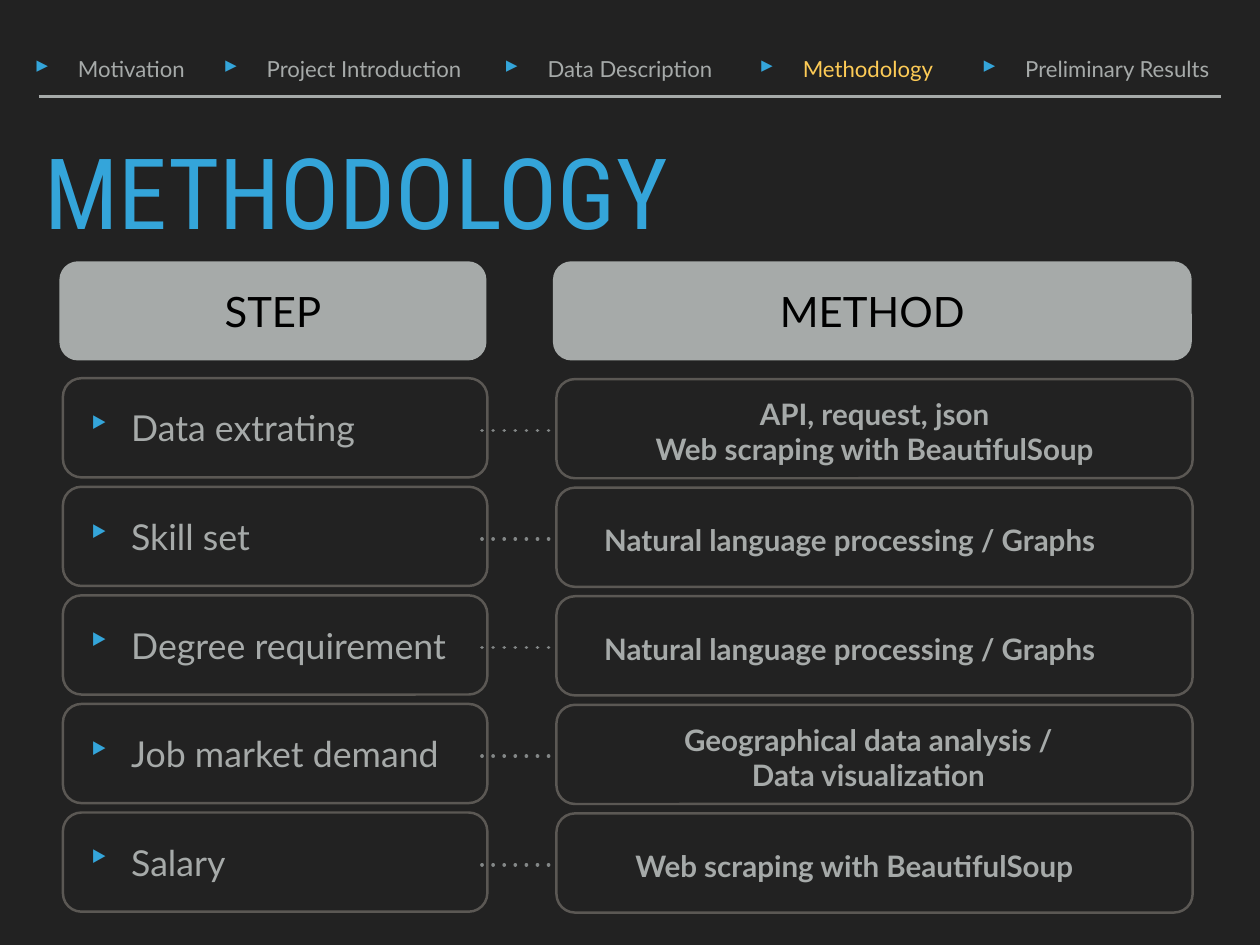
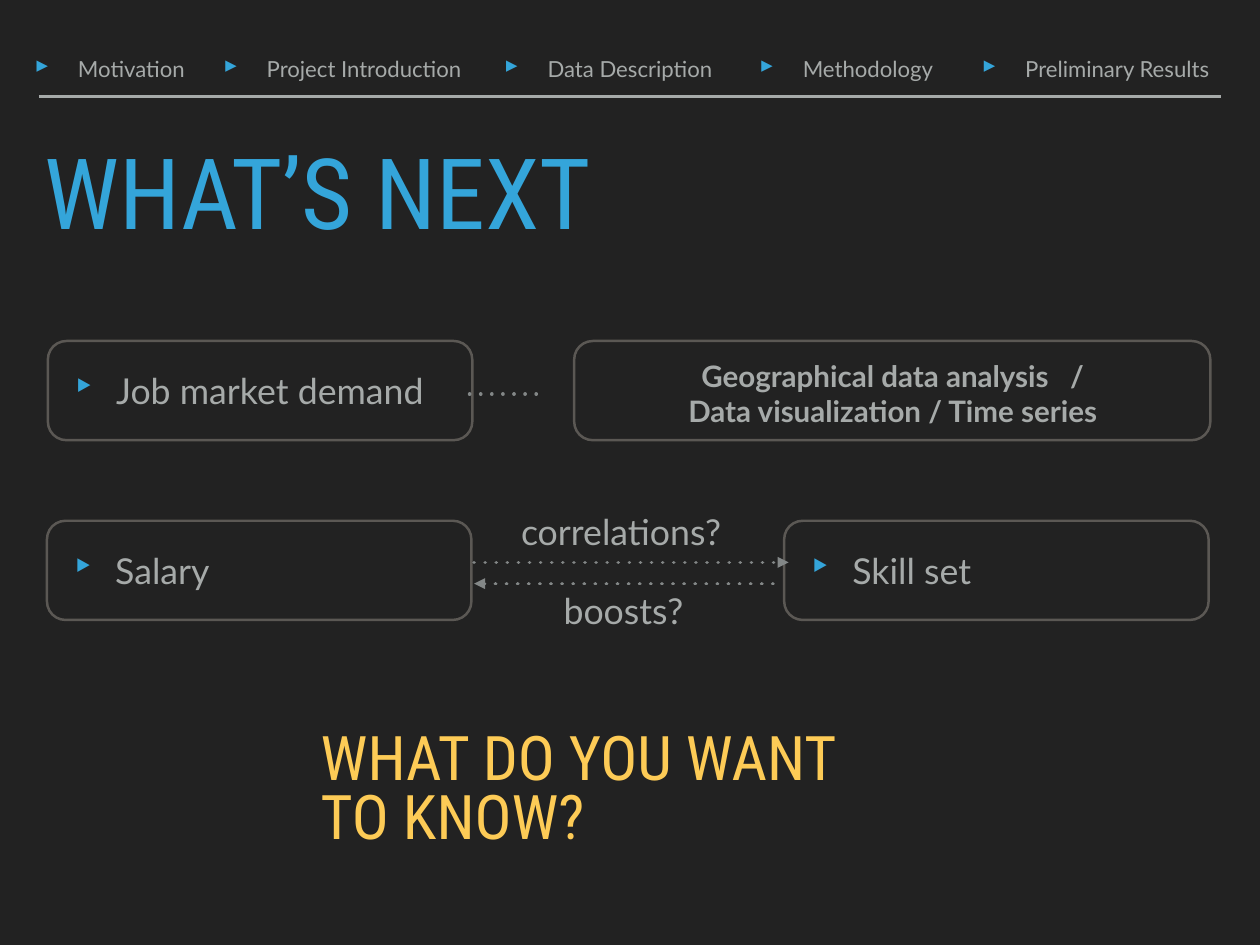
import dataclasses

import pptx
import pptx.dml.color
import pptx.enum.shapes
import pptx.enum.text
import pptx.oxml
import pptx.oxml.ns
import pptx.util

Inches = pptx.util.Inches
Pt = pptx.util.Pt
ALIGN = pptx.enum.text.PP_ALIGN
ANCHOR = pptx.enum.text.MSO_ANCHOR
AUTO_SIZE = pptx.enum.text.MSO_AUTO_SIZE


@dataclasses.dataclass(frozen=True)
class Theme:
    background: str = "222222"
    accent: str = "34A5DA"
    highlight: str = "FDCB56"
    text: str = "A6AAA9"
    header_text: str = "000000"
    outline: str = "5B5854"
    dots: str = "838787"
    heading_font: str = "Roboto Condensed"
    body_font: str = "Lato"
    title_size: int = 80
    question_size: int = 50
    header_size: int = 34
    step_size: int = 29
    method_size: int = 24
    navigation_size: int = 18
    space_before: int = 28
    margin: float = 0.06
    indent: float = 0.49
    corner: float = 0.187


THEME = Theme()
TITLE_BOX = (0.44, 1.68, 13.33, 1.33)
BOX_HEIGHT = 1.12
STEP_WIDTH = 4.79
METHOD_WIDTH = 7.18
NAVIGATION = [
    ("Motivation", 0.33, 1.86),
    ("Project Introduction", 2.46, 2.89),
    ("Data Description", 5.63, 2.56),
    ("Methodology", 8.51, 2.18),
    ("Preliminary Results", 11.02, 2.79),
]
STEP_TEXT_WIDTHS = {
    "Data extrating": 3.27,
    "Skill set": 2.03,
    "Degree requirement": 4.41,
    "Job market demand": 4.38,
    "Salary": 1.75,
}
# step, method lines, left and width of the method text, alignment, wrapping
METHODS = [
    ("Data extrating", ["API, request, json", "Web scraping with BeautifulSoup"],
     7.11, 5.52, ALIGN.CENTER, False),
    ("Skill set", ["Natural language processing / Graphs"], 6.76, 6.23, ALIGN.LEFT, False),
    ("Degree requirement", ["Natural language processing / Graphs"],
     6.76, 6.23, ALIGN.LEFT, False),
    ("Job market demand", ["Geographical data analysis / Data visualization"],
     7.39, 4.82, ALIGN.CENTER, True),
    ("Salary", ["Web scraping with BeautifulSoup"], 7.11, 5.52, ALIGN.LEFT, False),
]


def color(value):
    return pptx.dml.color.RGBColor.from_string(value)


def inches(*values):
    return [Inches(value) for value in values]


def apply(target, values):
    for name, value in values.items():
        setattr(target, name, value)


def append_xml(parent, tag, content="", **attributes):
    """Append one DrawingML element to parent."""
    listed = " ".join(f'{name}="{value}"' for name, value in attributes.items())
    parent.append(pptx.oxml.parse_xml(
        f'<a:{tag} {pptx.oxml.ns.nsdecls("a")} {listed}>{content}</a:{tag}>'))


def add_bullet(paragraph, character):
    properties = paragraph._p.get_or_add_pPr()
    indent = Inches(THEME.indent)
    properties.set("marL", str(indent))
    properties.set("indent", str(-indent))
    append_xml(properties, "buClr", f'<a:srgbClr val="{THEME.accent}"/>')
    append_xml(properties, "buSzPct", val=105000)
    append_xml(properties, "buChar", char=character)


def write_text(shape, lines, size, fill=THEME.text, font=THEME.body_font, bold=False,
               align=ALIGN.LEFT, anchor=ANCHOR.MIDDLE, wrap=False,
               auto_size=AUTO_SIZE.SHAPE_TO_FIT_TEXT, bullet=None,
               before=THEME.space_before, line_spacing=None):
    frame = shape.text_frame
    margin = Inches(THEME.margin)
    apply(frame, {"margin_left": margin, "margin_top": margin, "margin_right": margin,
                  "margin_bottom": margin, "vertical_anchor": anchor,
                  "word_wrap": wrap, "auto_size": auto_size})
    frame.text = "\n".join(lines)
    for paragraph in frame.paragraphs:
        apply(paragraph, {"alignment": align, "space_before": Pt(before),
                          "line_spacing": line_spacing})
        if bullet:
            add_bullet(paragraph, bullet)
        for run in paragraph.runs:
            apply(run.font, {"name": font, "size": Pt(size), "bold": bold})
            run.font.color.rgb = color(fill)


def add_text(slide, box, lines, size, **formats):
    write_text(slide.shapes.add_textbox(*inches(*box)), lines, size, **formats)


def write_heading(shape, text, size, fill):
    write_text(shape, [text], size, fill=fill, font=THEME.heading_font,
               anchor=ANCHOR.TOP, wrap=True, auto_size=AUTO_SIZE.NONE, line_spacing=0.8)


def add_line(slide, start, end, fill, width):
    line = slide.shapes.add_connector(
        pptx.enum.shapes.MSO_CONNECTOR.STRAIGHT, *inches(*start, *end))
    line.line.color.rgb = color(fill)
    line.line.width = Pt(width)
    append_xml(line._element.spPr, "effectLst")
    return line


def add_dotted_line(slide, left, right, top, arrow=None):
    """Dotted horizontal line; arrow is headEnd (left), tailEnd (right) or None."""
    line = add_line(slide, (left, top), (right, top), THEME.dots, 3)
    outline = line.line._get_or_add_ln()
    outline.set("cap", "rnd")
    append_xml(outline, "custDash", '<a:ds d="100000" sp="200000"/>')
    if arrow:
        append_xml(outline, arrow, type="triangle")


def add_rounded_box(slide, box):
    shape = slide.shapes.add_shape(
        pptx.enum.shapes.MSO_SHAPE.ROUNDED_RECTANGLE, *inches(*box))
    shape.adjustments[0] = THEME.corner
    shape.shadow.inherit = False
    return shape


def add_outlined_box(slide, box):
    shape = add_rounded_box(slide, box)
    shape.fill.background()
    shape.line.color.rgb = color(THEME.outline)
    shape.line.width = Pt(2)


def add_header_box(slide, box, text):
    shape = add_rounded_box(slide, box)
    shape.fill.solid()
    shape.fill.fore_color.rgb = color(THEME.text)
    shape.line.fill.background()
    write_text(shape, [text], THEME.header_size, fill=THEME.header_text,
               align=ALIGN.CENTER, auto_size=AUTO_SIZE.NONE, before=0)


def add_step(slide, left, top, label):
    add_outlined_box(slide, (left, top, STEP_WIDTH, BOX_HEIGHT))
    height = 0.67
    add_text(slide, (left + 0.22, top + (BOX_HEIGHT - height) / 2,
                     STEP_TEXT_WIDTHS[label], height),
             [label], THEME.step_size, bullet="‣")


def add_method(slide, left, top, lines, text_left, text_width, align, wrap):
    add_outlined_box(slide, (left, top, METHOD_WIDTH, BOX_HEIGHT))
    height = 1.03 if wrap or len(lines) > 1 else 0.57
    text_top = top + 0.03 + (BOX_HEIGHT - height) / 2
    add_text(slide, (text_left, text_top, text_width, height), lines, THEME.method_size,
             bold=True, align=align, wrap=wrap, before=0)


def add_navigation(slide, current):
    for label, left, width in NAVIGATION:
        add_text(slide, (left, 0.55, width, 0.46), [label], THEME.navigation_size,
                 fill=THEME.highlight if label == current else THEME.text, bullet="▸")


def add_titled_slide(presentation, layout, title, current=None):
    slide = presentation.slides.add_slide(layout)
    placeholder = slide.shapes.title
    apply(placeholder, dict(zip(("left", "top", "width", "height"), inches(*TITLE_BOX))))
    write_heading(placeholder, title, THEME.title_size, THEME.accent)
    add_line(slide, (0.44, 1.09), (13.78, 1.09), THEME.text, 2)
    add_navigation(slide, current)
    return slide


def build_methodology(presentation, layout):
    slide = add_titled_slide(presentation, layout, "METHODOLOGY", "Methodology")
    add_header_box(slide, (0.67, 2.95, 4.82, BOX_HEIGHT), "STEP")
    add_header_box(slide, (6.24, 2.95, 7.21, BOX_HEIGHT), "METHOD")
    first_top, pitch = 4.27, 1.226
    for row, (step, *method) in enumerate(METHODS):
        top = first_top + row * pitch
        add_step(slide, 0.71, top, step)
        add_method(slide, 6.28, top + 0.01, *method)
        add_dotted_line(slide, 5.44, 6.28, top + 0.59)


def build_next_steps(presentation, layout):
    slide = add_titled_slide(presentation, layout, "WHAT’S NEXT")
    demand_top, salary_top = 3.85, 5.88
    add_step(slide, 0.54, demand_top, "Job market demand")
    add_method(slide, 6.48, demand_top,
               ["Geographical data analysis   / Data visualization / Time series"],
               7.49, 5.17, ALIGN.CENTER, True)
    add_dotted_line(slide, 5.3, 6.14, demand_top + 0.6)

    add_step(slide, 0.53, salary_top, "Salary")
    add_step(slide, 8.85, salary_top, "Skill set")
    add_dotted_line(slide, 5.35, 8.9, 6.35, "tailEnd")
    add_dotted_line(slide, 5.35, 8.84, 6.59, "headEnd")
    add_text(slide, (5.82, 5.66, 2.52, 0.67), ["correlations?"], THEME.step_size)
    add_text(slide, (6.3, 6.56, 1.58, 0.67), ["boosts?"], THEME.step_size)

    question = slide.shapes.add_textbox(*inches(3.56, 8.22, 6.7, 1.33))
    write_heading(question, "WHAT DO YOU WANT TO KNOW?",
                  THEME.question_size, THEME.highlight)


def main():
    presentation = pptx.Presentation()
    presentation.slide_width, presentation.slide_height = inches(14.22, 10.67)
    background = presentation.slide_master.background.fill
    background.solid()
    background.fore_color.rgb = color(THEME.background)
    title_only = presentation.slide_layouts.get_by_name("Title Only")
    build_methodology(presentation, title_only)
    build_next_steps(presentation, title_only)
    presentation.save("out.pptx")


if __name__ == "__main__":
    main()
